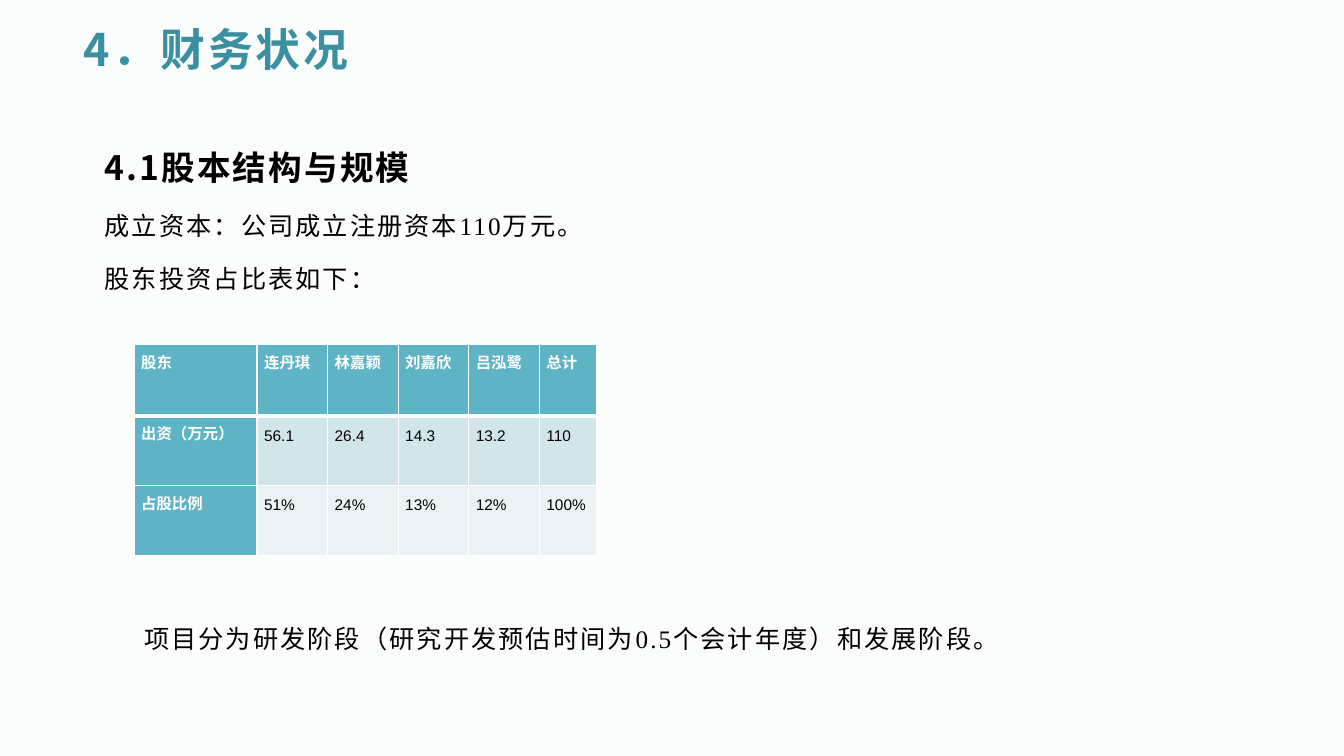
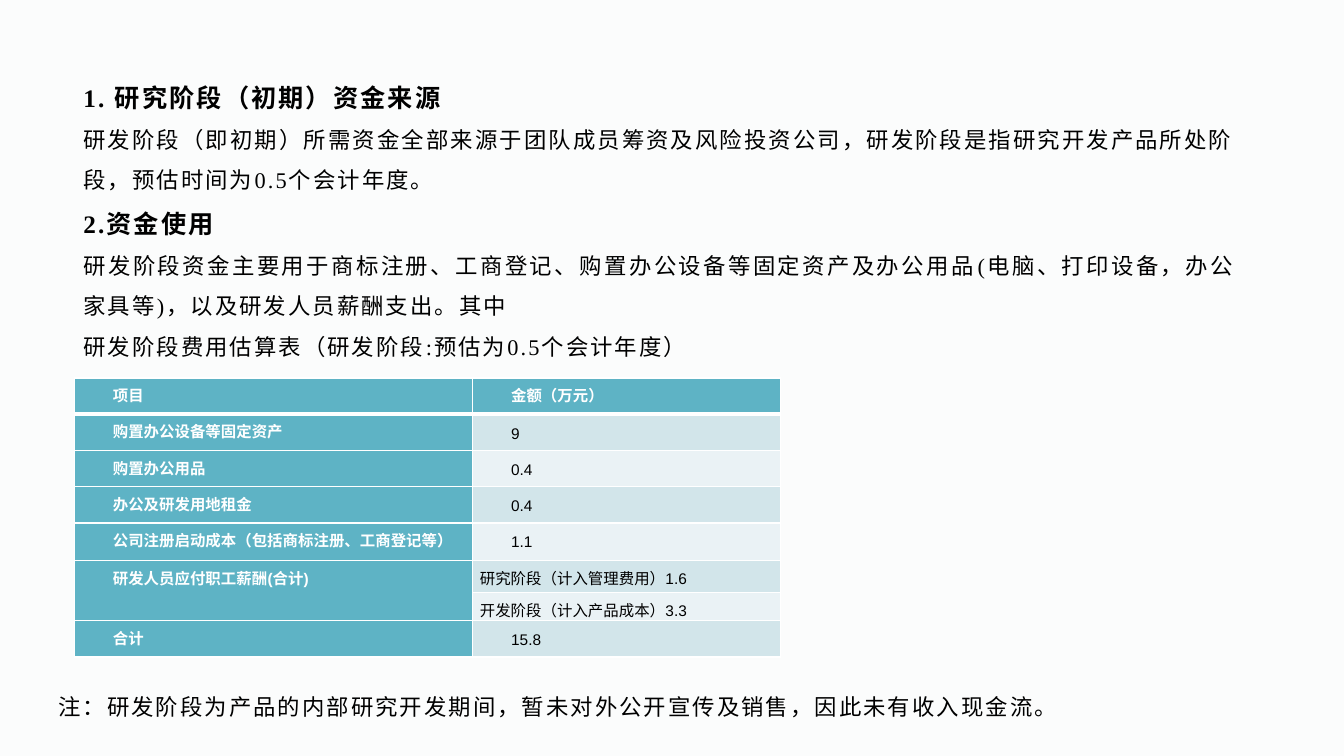
"""Build two slides on share capital and research-stage funding."""
import pptx
import pptx.dml.color
import pptx.enum.text
import pptx.oxml.ns
import pptx.util
from lxml import etree

Inches, Pt = pptx.util.Inches, pptx.util.Pt
qn = pptx.oxml.ns.qn
JUSTIFY = pptx.enum.text.PP_ALIGN.JUSTIFY
MIDDLE = pptx.enum.text.MSO_ANCHOR.MIDDLE

PAPER, TITLE, BLACK, WHITE = "FBFCFC", "3A8FA0", "000000", "FFFFFF"
HEADER, BANDS = "5EB3C5", ("EAF2F5", "D2E5EA")
SANS, SERIF, TABLE_FONT = "Noto Sans CJK SC", "Times New Roman", "Arial"

SECTION_TITLE = "4．财务状况"
CAPITAL_HEADING = ("4.1", "股本结构与规模")
CAPITAL_TEXT = [
    "成立资本：公司成立注册资本110万元。",
    "股东投资占比表如下：",
]
SHAREHOLDERS = [
    ["股东", "连丹琪", "林嘉颖", "刘嘉欣", "吕泓鹭", "总计"],
    ["出资（万元）", "56.1", "26.4", "14.3", "13.2", "110"],
    ["占股比例", "51%", "24%", "13%", "12%", "100%"],
]
STAGES = "项目分为研发阶段（研究开发预估时间为0.5个会计年度）和发展阶段。"

FUNDING = [
    ("1. 研究阶段（初期）资金来源", [
        "研发阶段（即初期）所需资金全部来源于团队成员筹资及风险投资公司，研发阶段是指研究开发产品所处阶段，预估时间为0.5个会计年度。",
    ]),
    ("2.资金使用", [
        "研发阶段资金主要用于商标注册、工商登记、购置办公设备等固定资产及办公用品(电脑、打印设备，办公家具等)，以及研发人员薪酬支出。其中",
        "研发阶段费用估算表（研发阶段:预估为0.5个会计年度）",
    ]),
]
COSTS = [
    ["项目", "金额（万元）"],
    ["购置办公设备等固定资产", "9"],
    ["购置办公用品", "0.4"],
    ["办公及研发用地租金", "0.4"],
    ["公司注册启动成本（包括商标注册、工商登记等）", "1.1"],
    ["研发人员应付职工薪酬(合计)", "研究阶段（计入管理费用）1.6"],
    [None, "开发阶段（计入产品成本）3.3"],
    ["合计", "15.8"],
]
SALARY_SPLIT = {(5, 1), (6, 1)}
NOTE = "注：研发阶段为产品的内部研究开发期间，暂未对外公开宣传及销售，因此未有收入现金流。"


def rgb(value):
    """Turn a hex string into a colour."""
    return pptx.dml.color.RGBColor.from_string(value)


def style(paragraph, size, font=SERIF, color=BLACK, bold=False, spacing=0,
          margin=0, indent=0):
    """Set the font, letter spacing and indents of a paragraph."""
    paragraph.font.size = Pt(size)
    paragraph.font.bold = bold
    paragraph.font.color.rgb = rgb(color)
    paragraph.font.name = font
    properties = paragraph._p.get_or_add_pPr()
    properties.set("marL", str(Inches(margin)))
    properties.set("indent", str(Inches(indent)))
    defaults = properties.find(qn("a:defRPr"))
    defaults.set("spc", str(int(spacing * 100)))
    etree.SubElement(defaults, qn("a:ea")).set("typeface", SANS)


def add_text(slide, box, lines, line_spacing=None, space_after=0, align=None,
             anchor=None):
    """Add a text box from (runs, style options) lines."""
    frame = slide.shapes.add_textbox(*map(Inches, box)).text_frame
    frame.word_wrap = True
    frame.vertical_anchor = anchor
    for index, (runs, options) in enumerate(lines):
        paragraph = frame.add_paragraph() if index else frame.paragraphs[0]
        for text in runs:
            paragraph.add_run().text = text
        style(paragraph, **options)
        paragraph.line_spacing = line_spacing
        paragraph.space_after = Pt(space_after)
        paragraph.alignment = align
    return frame


def set_borders(cell, row):
    """Draw white borders, with a heavy rule under the header row."""
    widths = {"L": 1, "R": 1, "T": 3 if row == 1 else 1, "B": 1 if row else 3}
    for side, width in widths.items():
        line = etree.SubElement(cell._tc.get_or_add_tcPr(), qn(f"a:ln{side}"))
        line.set("w", str(Pt(width)))
        fill = etree.SubElement(line, qn("a:solidFill"))
        etree.SubElement(fill, qn("a:srgbClr")).set("val", WHITE)


def add_banded_table(slide, left, top, rows, widths, heights, align=None,
                     indent=0, flush=()):
    """Add a table with a header row, header column and banded values."""
    table = slide.shapes.add_table(
        len(rows), len(widths), Inches(left), Inches(top),
        Inches(sum(widths)), Inches(sum(heights))).table
    for column, width in zip(table.columns, widths):
        column.width = Inches(width)
    for row, height in zip(table.rows, heights):
        row.height = Inches(height)
    for r, values in enumerate(rows):
        for c, value in enumerate(values):
            cell = table.cell(r, c)
            heading = r == 0 or c == 0
            set_borders(cell, r)
            cell.fill.solid()
            cell.fill.fore_color.rgb = rgb(HEADER if heading else BANDS[r % 2])
            cell.margin_left = cell.margin_right = Inches(0.07)
            cell.margin_top = cell.margin_bottom = 0
            if value is None:
                table.cell(r - 1, c).merge(cell)
                continue
            cell.text = value
            paragraph = cell.text_frame.paragraphs[0]
            paragraph.line_spacing = Pt(20)
            paragraph.alignment = align
            style(paragraph, 11, TABLE_FONT, WHITE if heading else BLACK,
                  heading, indent=0 if (r, c) in flush else indent)


def build_capital(slide):
    """Build the share capital slide."""
    add_text(slide, (0.73, 0.24, 11.87, 0.48),
             [([SECTION_TITLE], dict(size=32, font=SANS, color=TITLE,
                                     bold=True, spacing=2))],
             align=JUSTIFY, anchor=MIDDLE)
    lines = [(CAPITAL_HEADING, dict(size=24, bold=True, spacing=1.5))]
    lines += [([text], dict(size=18, spacing=1.5)) for text in CAPITAL_TEXT]
    body = add_text(slide, (0.94, 1.29, 11.87, 5.89), lines, 1.3, 10)
    body.paragraphs[0].runs[0].font.name = SANS
    add_banded_table(slide, 1.33, 3.42, SHAREHOLDERS,
                     [1.22] + [0.7] * 4 + [0.57], [0.71, 0.69, 0.69])
    add_text(slide, (1.33, 6.13, 8.71, 0.4),
             [([STAGES], dict(size=18, spacing=1.5))], anchor=MIDDLE)


def build_funding(slide):
    """Build the research-stage funding slide."""
    lines = []
    for heading, texts in FUNDING:
        lines.append(([heading], dict(size=18, bold=True, spacing=1.5,
                                      margin=0.25)))
        lines += [([text], dict(size=16, spacing=1.5, margin=0.25))
                  for text in texts]
    add_text(slide, (0.48, 0.62, 11.87, 5.89), lines, 1.5, align=JUSTIFY)
    add_banded_table(slide, 0.74, 3.75, COSTS, [3.95, 3.05],
                     [0.36] * 4 + [0.37, 0.32, 0.28, 0.36],
                     JUSTIFY, 0.31, SALARY_SPLIT)
    add_text(slide, (0.48, 6.83, 10.3, 0.67),
             [([NOTE], dict(size=16, spacing=1.5))])


def main():
    """Create and save the presentation."""
    deck = pptx.Presentation()
    deck.slide_width, deck.slide_height = Inches(13.33), Inches(7.5)
    background = deck.slide_master.background.fill
    background.solid()
    background.fore_color.rgb = rgb(PAPER)
    for build in (build_capital, build_funding):
        build(deck.slides.add_slide(deck.slide_layouts[6]))
    deck.save("out.pptx")


if __name__ == "__main__":
    main()
